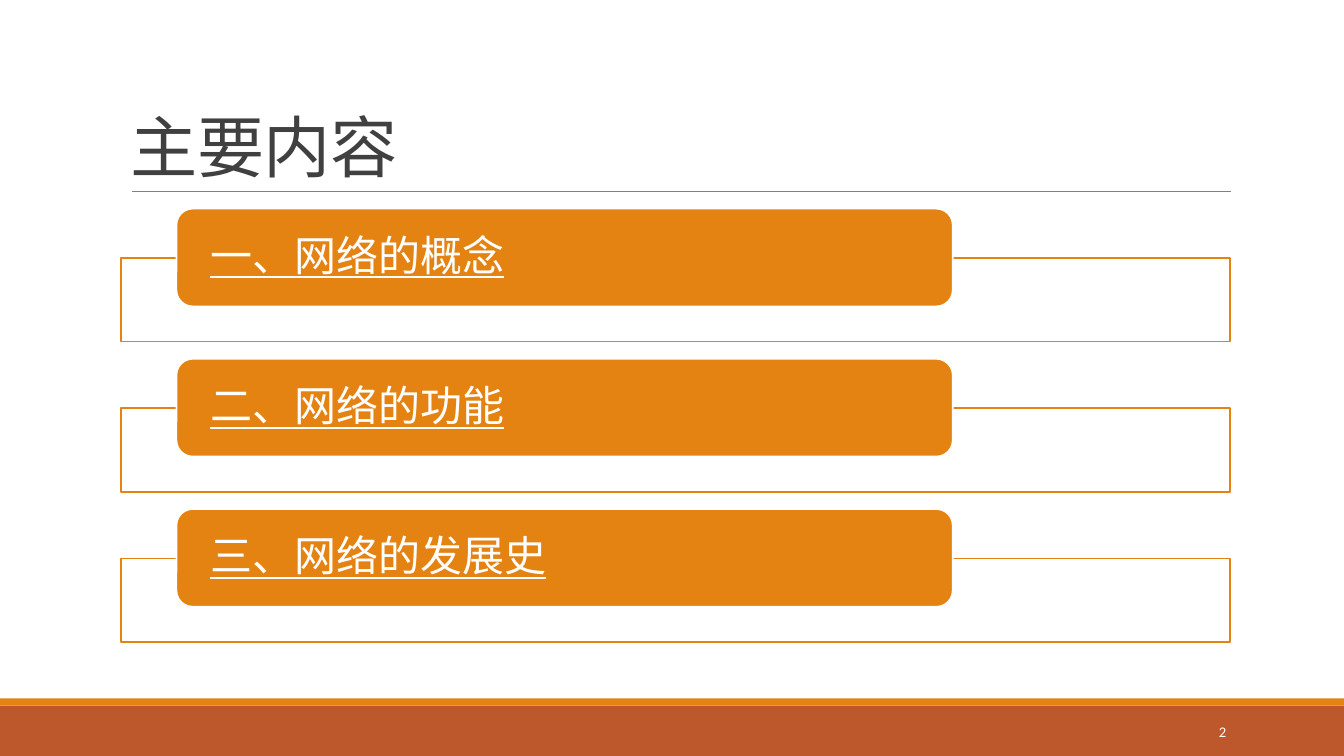
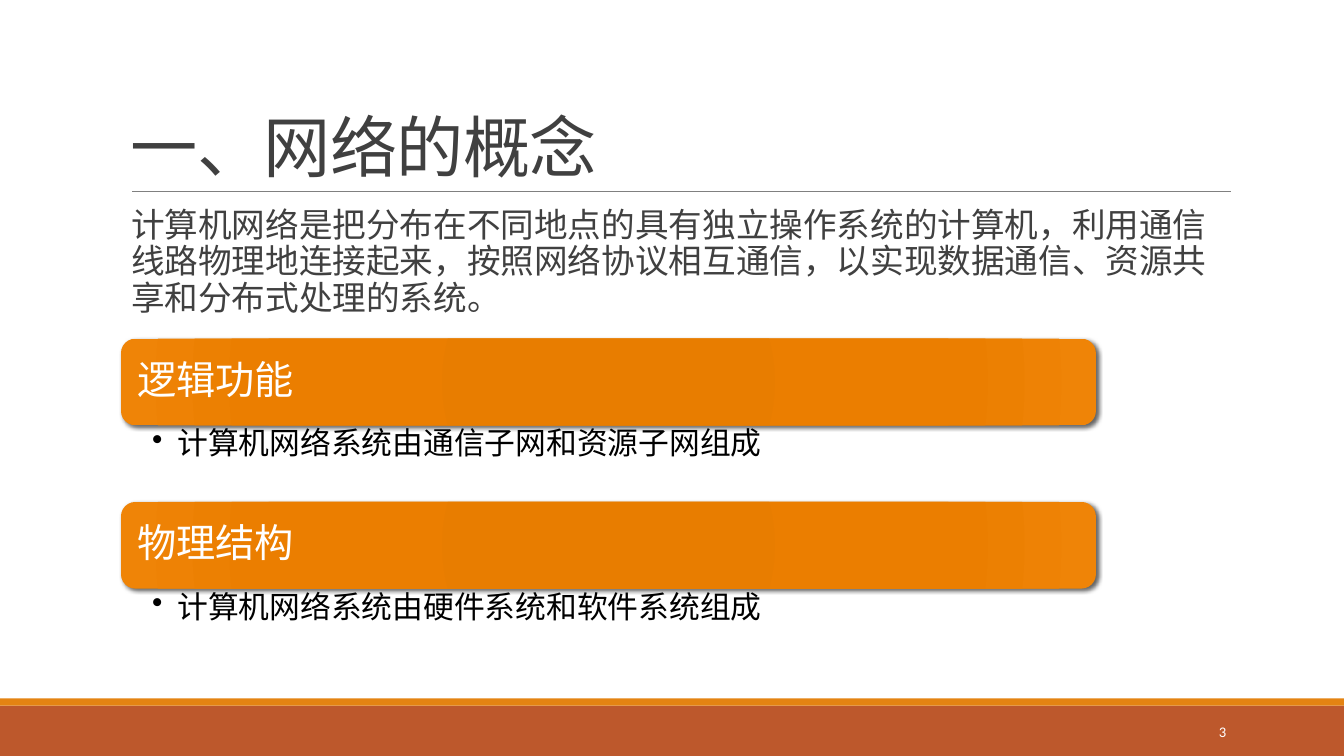
"""Build two slides on the concept of computer networks."""
from dataclasses import dataclass

from pptx import Presentation
from pptx.dml.color import RGBColor
from pptx.enum.lang import MSO_LANGUAGE_ID as Language
from pptx.enum.shapes import MSO_CONNECTOR as Connector
from pptx.enum.shapes import MSO_SHAPE as Preset
from pptx.enum.text import MSO_ANCHOR as Anchor
from pptx.enum.text import PP_ALIGN as Align
from pptx.oxml import parse_xml
from pptx.oxml.ns import nsdecls, qn
from pptx.oxml.xmlchemy import OxmlElement
from pptx.shapes.autoshape import Shape
from pptx.slide import Slide
from pptx.util import Inches, Pt

ORANGE = RGBColor(0xE4, 0x83, 0x12)
RUST = RGBColor(0xBD, 0x58, 0x2C)
GRAY = RGBColor(0x80, 0x80, 0x80)
DARK = RGBColor(0x40, 0x40, 0x40)
BLACK = RGBColor(0x00, 0x00, 0x00)
WHITE = RGBColor(0xFF, 0xFF, 0xFF)
GRADIENT = (
    (0, RGBColor(0xE5, 0x7B, 0x00)),
    (34, RGBColor(0xE8, 0x7D, 0x00)),
    (70, RGBColor(0xEB, 0x7E, 0x00)),
    (100, RGBColor(0xEF, 0x84, 0x07)),
)
LATIN_FONT = "Calibri"
CHINESE_FONT = "Noto Sans CJK SC"
SLIDE_WIDTH, SLIDE_HEIGHT = 13.33, 7.5
LEFT, CONTENT_WIDTH = 1.2, 11
AGENDA_TOP, AGENDA_PITCH = 2.07, 1.49
ASPECT_TOP, ASPECT_PITCH = 3.36, 1.62


@dataclass(frozen=True)
class Box:
    left: float
    top: float
    width: float
    height: float

    def lengths(self) -> tuple[Inches, ...]:
        return tuple(map(Inches, (self.left, self.top, self.width, self.height)))


@dataclass(frozen=True)
class Aspect:
    heading: str
    detail: str


AGENDA = ("一、网络的概念", "二、网络的功能", "三、网络的发展史")
DEFINITION = (
    "计算机网络是把分布在不同地点的具有独立操作系统的计算机，"
    "利用通信线路物理地连接起来，按照网络协议相互通信，"
    "以实现数据通信、资源共享和分布式处理的系统。"
)
ASPECTS = (
    Aspect("逻辑功能", "计算机网络系统由通信子网和资源子网组成"),
    Aspect("物理结构", "计算机网络系统由硬件系统和软件系统组成"),
)


def write_text(
    shape: Shape,
    text: str,
    *,
    size: float,
    color: RGBColor,
    font: str = CHINESE_FONT,
    align: Align = Align.LEFT,
    anchor: Anchor = Anchor.MIDDLE,
    insets: tuple[float, float, float, float] = (0.1, 0.05, 0.1, 0.05),
    line_spacing: float = 0.9,
    indent: float = 0,
    bullet: str = "",
    underline: bool = False,
    tracking: float = 0,
) -> None:
    frame = shape.text_frame
    frame.word_wrap = True
    frame.vertical_anchor = anchor
    frame.margin_left, frame.margin_top, frame.margin_right, frame.margin_bottom = map(
        Inches, insets
    )
    paragraph = frame.paragraphs[0]
    paragraph.alignment = align
    paragraph.line_spacing = line_spacing
    properties = paragraph._p.get_or_add_pPr()
    properties.set("marL", str(Inches(indent)))
    if bullet:
        properties.set("indent", str(-Inches(indent)))
        mark = OxmlElement("a:buChar")
        mark.set("char", bullet)
        properties.append(mark)
    run = paragraph.add_run()
    run.text = text
    run.font.size = Pt(size)
    run.font.name = font
    run.font.color.rgb = color
    run.font.language_id = Language.SIMPLIFIED_CHINESE
    if underline:
        run.font.underline = True
    run_properties = run._r.get_or_add_rPr()
    if tracking:
        run_properties.set("spc", str(round(tracking * 100)))
    east_asian = OxmlElement("a:ea")
    east_asian.set("typeface", CHINESE_FONT)
    run_properties.append(east_asian)


def add_text_box(slide: Slide, box: Box, text: str, **text_format) -> None:
    write_text(slide.shapes.add_textbox(*box.lengths()), text, **text_format)


def add_block(
    slide: Slide,
    box: Box,
    fill: RGBColor,
    *,
    line: RGBColor | None = None,
    preset: Preset = Preset.RECTANGLE,
) -> Shape:
    shape = slide.shapes.add_shape(preset, *box.lengths())
    shape.shadow.inherit = False
    shape.fill.solid()
    shape.fill.fore_color.rgb = fill
    if line is None:
        shape.line.fill.background()
    else:
        shape.line.color.rgb = line
        shape.line.width = Pt(1.25)
    return shape


def add_glossy_finish(shape: Shape) -> None:
    stops = "".join(
        f'<a:gs pos="{position * 1000}"><a:srgbClr val="{color}"/></a:gs>'
        for position, color in GRADIENT
    )
    gradient = parse_xml(
        f'<a:gradFill {nsdecls("a")} rotWithShape="1"><a:gsLst>{stops}</a:gsLst>'
        '<a:path path="circle">'
        '<a:fillToRect l="100000" t="100000" r="100000" b="100000"/>'
        "</a:path></a:gradFill>"
    )
    shadow = parse_xml(
        f'<a:outerShdw {nsdecls("a")} blurRad="{Pt(3)}" dist="{Pt(2)}" dir="2700000"'
        ' algn="tl" rotWithShape="0"><a:srgbClr val="000000">'
        '<a:alpha val="60000"/></a:srgbClr></a:outerShdw>'
    )
    properties = shape._element.spPr
    properties.replace(properties.find(qn("a:solidFill")), gradient)
    properties.find(qn("a:effectLst")).append(shadow)


def add_framed_slide(presentation: Presentation, title: str, number: int) -> Slide:
    slide = presentation.slides.add_slide(presentation.slide_layouts[6])
    add_block(slide, Box(0, 7, SLIDE_WIDTH, 0.5), RUST)
    add_block(slide, Box(0, 6.93, SLIDE_WIDTH, 0.07), ORANGE)
    rule = slide.shapes.add_connector(
        Connector.STRAIGHT, Inches(1.31), Inches(1.9), Inches(12.21), Inches(1.9)
    )
    rule.line.color.rgb = GRAY
    rule.line.width = Pt(0.5)
    rule._element.spPr.append(OxmlElement("a:effectLst"))
    add_text_box(
        slide,
        Box(LEFT, 0.31, CONTENT_WIDTH, 1.59),
        title,
        size=48,
        color=DARK,
        font=LATIN_FONT,
        anchor=Anchor.BOTTOM,
        line_spacing=0.85,
        tracking=-0.5,
    )
    add_text_box(
        slide,
        Box(10.83, 7.06, 1.43, 0.4),
        str(number),
        size=10.5,
        color=WHITE,
        font=LATIN_FONT,
        align=Align.RIGHT,
        line_spacing=1,
    )
    return slide


def add_agenda_item(slide: Slide, text: str, top: float) -> None:
    add_block(slide, Box(LEFT, top + 0.49, CONTENT_WIDTH, 0.83), WHITE, line=ORANGE)
    label = add_block(
        slide,
        Box(1.75, top, 7.7, 0.97),
        ORANGE,
        line=WHITE,
        preset=Preset.ROUNDED_RECTANGLE,
    )
    write_text(
        label,
        text,
        size=30,
        color=WHITE,
        font=LATIN_FONT,
        insets=(0.29, 0, 0.29, 0),
        underline=True,
    )


def add_aspect(slide: Slide, aspect: Aspect, top: float) -> None:
    banner = add_block(
        slide, Box(LEFT, top, 9.67, 0.86), ORANGE, preset=Preset.ROUNDED_RECTANGLE
    )
    add_glossy_finish(banner)
    write_text(banner, aspect.heading, size=28, color=WHITE, insets=(0.12,) * 4)
    add_text_box(
        slide,
        Box(LEFT, top + 0.86, 9.67, 0.76),
        aspect.detail,
        size=22,
        color=BLACK,
        anchor=Anchor.TOP,
        insets=(0.31, 0.03, 0.17, 0.03),
        indent=0.25,
        bullet="•",
    )


def main() -> None:
    presentation = Presentation()
    presentation.slide_width = Inches(SLIDE_WIDTH)
    presentation.slide_height = Inches(SLIDE_HEIGHT)

    agenda_slide = add_framed_slide(presentation, "主要内容", 2)
    for index, text in enumerate(AGENDA):
        add_agenda_item(agenda_slide, text, AGENDA_TOP + index * AGENDA_PITCH)

    concept_slide = add_framed_slide(presentation, AGENDA[0], 3)
    add_text_box(
        concept_slide,
        Box(LEFT, 2.02, CONTENT_WIDTH, 1.3),
        DEFINITION,
        size=24,
        color=DARK,
        anchor=Anchor.TOP,
        insets=(0, 0.05, 0, 0.05),
        indent=0.1,
    )
    for index, aspect in enumerate(ASPECTS):
        add_aspect(concept_slide, aspect, ASPECT_TOP + index * ASPECT_PITCH)

    presentation.save("out.pptx")


if __name__ == "__main__":
    main()
